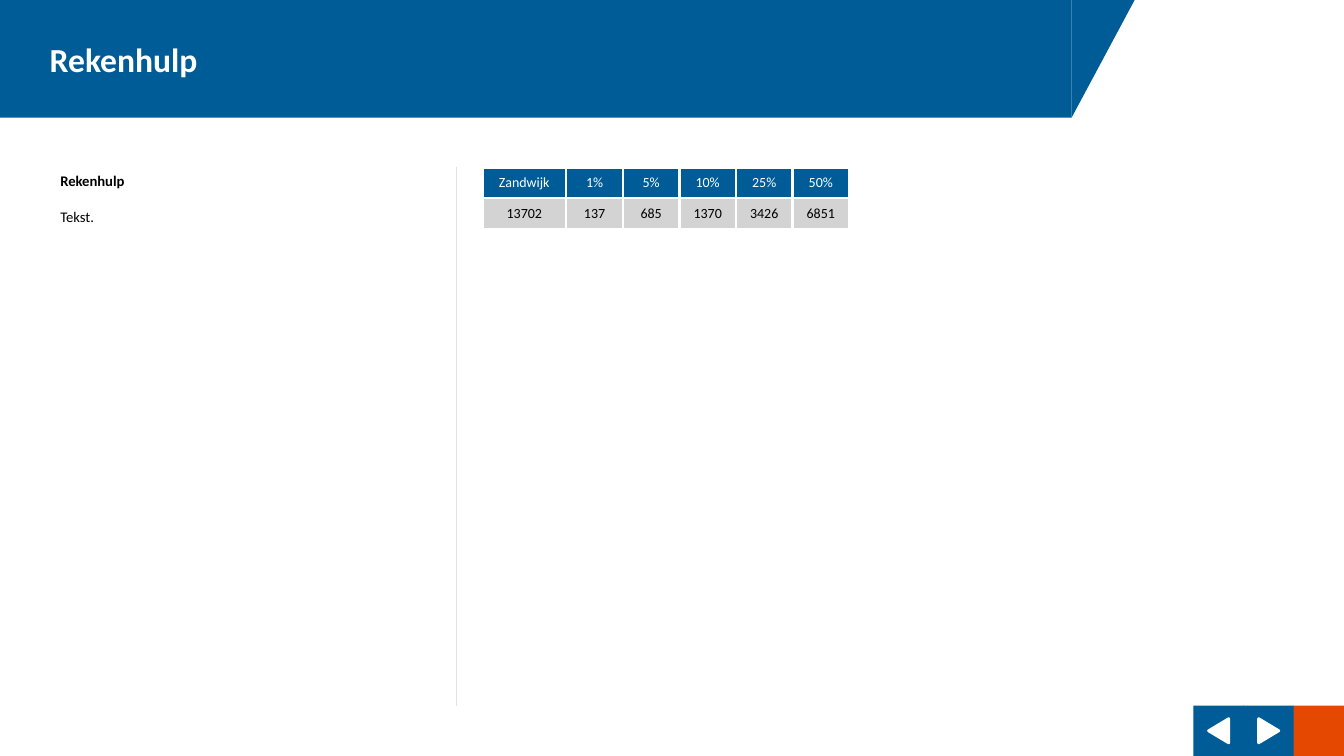
from dataclasses import dataclass

from lxml.etree import SubElement
from pptx import Presentation
from pptx.dml.color import RGBColor
from pptx.enum.shapes import MSO_CONNECTOR as Connector, MSO_SHAPE as Shape
from pptx.enum.text import MSO_ANCHOR as Anchor, PP_ALIGN as Align
from pptx.oxml.ns import qn
from pptx.util import Pt


@dataclass(frozen=True)
class Theme:
    font: str = "Calibri"
    blue: str = "005C96"
    orange: str = "E54800"
    white: str = "FFFFFF"
    black: str = "000000"
    cell_grey: str = "D3D3D3"
    line_grey: str = "E3E3E3"
    title_size: float = 24
    body_size: float = 10.5
    table_size: float = 10


THEME = Theme()
TABLE_ROWS = [
    ["Zandwijk", "1%", "5%", "10%", "25%", "50%"],
    ["13702", "137", "685", "1370", "3426", "6851"],
]


def paint(fill, color):
    fill.solid()
    fill.fore_color.rgb = RGBColor.from_string(color)


def write(paragraph, text, size=THEME.body_size, color=THEME.black,
          bold=False, align=Align.LEFT, before=0):
    paragraph.alignment = align
    paragraph.space_before = Pt(before)
    run = paragraph.add_run()
    run.text = text
    run.font.name = THEME.font
    run.font.size = Pt(size)
    run.font.bold = bold
    run.font.color.rgb = RGBColor.from_string(color)


def add_block(slide, kind, left, top, width, height, color):
    shape = slide.shapes.add_shape(kind, Pt(left), Pt(top), Pt(width), Pt(height))
    shape.shadow.inherit = False
    paint(shape.fill, color)
    shape.line.fill.background()
    return shape


def add_header(slide, title):
    corner = add_block(slide, Shape.RIGHT_TRIANGLE, 765.5, 0, 45, 84, THEME.blue)
    corner.element.spPr.xfrm.set("flipV", "1")
    bar = add_block(slide, Shape.RECTANGLE, 0, 0, 765.5, 84, THEME.blue)
    frame = bar.text_frame
    frame.vertical_anchor = Anchor.MIDDLE
    frame.margin_left = Pt(35.5)
    write(frame.paragraphs[0], title, size=THEME.title_size, color=THEME.white, bold=True)


def add_explanation(slide, heading, body):
    box = slide.shapes.add_textbox(Pt(36), Pt(119.5), Pt(272), Pt(45.5))
    frame = box.text_frame
    frame.word_wrap = True
    write(frame.paragraphs[0], heading, bold=True)
    write(frame.add_paragraph(), body, before=12.8)


def add_divider(slide, x, top, bottom):
    line = slide.shapes.add_connector(Connector.STRAIGHT, Pt(x), Pt(bottom), Pt(x), Pt(top))
    line.line.color.rgb = RGBColor.from_string(THEME.line_grey)
    line.line.width = Pt(1)
    SubElement(line.element.spPr, qn("a:effectLst"))


def add_borders(cell, color, width):
    properties = cell._tc.get_or_add_tcPr()
    for position, side in enumerate(("lnL", "lnR", "lnT", "lnB")):
        border = SubElement(properties, qn(f"a:{side}"), w=str(Pt(width)))
        fill = SubElement(border, qn("a:solidFill"))
        SubElement(fill, qn("a:srgbClr"), val=color)
        properties.insert(position, border)


def add_percentage_table(slide, rows):
    widths = [60] + [40.4] * (len(rows[0]) - 1)
    frame = slide.shapes.add_table(len(rows), len(widths), Pt(344.5), Pt(119.5),
                                   Pt(sum(widths)), Pt(18 * len(rows)))
    table = frame.table
    table.horz_banding = False
    for column, width in zip(table.columns, widths):
        column.width = Pt(width)
    styles = [(THEME.blue, THEME.white), (THEME.cell_grey, THEME.black)]
    for row_index, (values, (background, color)) in enumerate(zip(rows, styles)):
        for column_index, value in enumerate(values):
            cell = table.cell(row_index, column_index)
            cell.vertical_anchor = Anchor.MIDDLE
            cell.margin_left = cell.margin_right = 0
            cell.margin_top = cell.margin_bottom = Pt(5)
            paint(cell.fill, background)
            add_borders(cell, THEME.white, 2)
            write(cell.text_frame.paragraphs[0], value, size=THEME.table_size,
                  color=color, align=Align.CENTER)


def add_navigation(slide):
    side, step, top = 36, 35.75, 504
    arrow_width, arrow_height = 17.3, 14.4
    buttons = [(THEME.blue, 270), (THEME.blue, 90), (THEME.orange, None)]
    for index, (color, rotation) in enumerate(buttons):
        left = 852.5 + index * step
        add_block(slide, Shape.RECTANGLE, left, top, side, side, color)
        if rotation is None:
            continue
        arrow = add_block(slide, Shape.ISOSCELES_TRIANGLE,
                          left + (side - arrow_width) / 2, top + (side - arrow_height) / 2,
                          arrow_width, arrow_height, THEME.white)
        arrow.rotation = rotation
        paint(arrow.line.fill, THEME.white)
        arrow.line.width = Pt(2)
        SubElement(arrow.line._get_or_add_ln(), qn("a:round"))


def main():
    presentation = Presentation()
    presentation.slide_width = Pt(960)
    presentation.slide_height = Pt(540)
    slide = presentation.slides.add_slide(presentation.slide_layouts[6])
    add_navigation(slide)
    add_header(slide, "Rekenhulp")
    add_explanation(slide, "Rekenhulp", "Tekst.")
    add_divider(slide, 326, 119.5, 504)
    add_percentage_table(slide, TABLE_ROWS)
    presentation.save("out.pptx")


if __name__ == "__main__":
    main()
